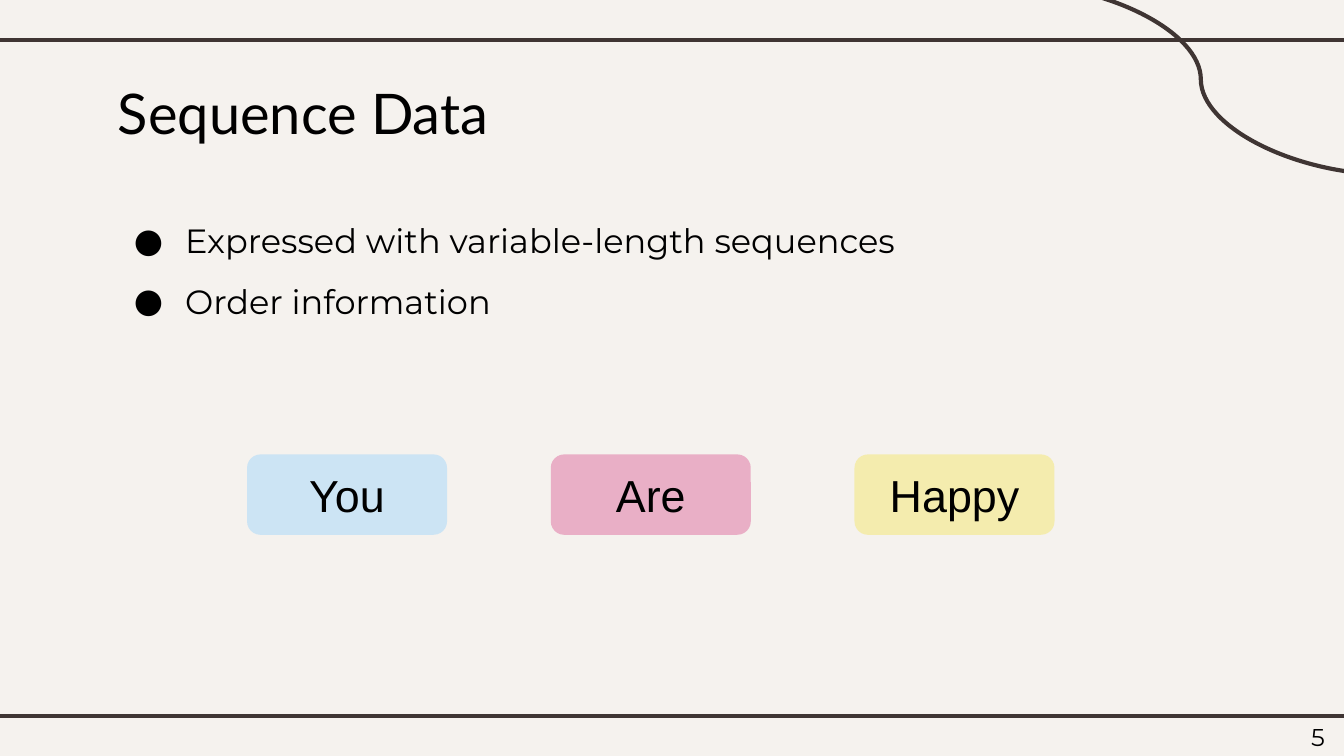
from lxml import etree
from pptx import Presentation
from pptx.dml.color import RGBColor
from pptx.enum.shapes import MSO_CONNECTOR, MSO_SHAPE
from pptx.enum.text import MSO_ANCHOR, MSO_AUTO_SIZE, PP_ALIGN
from pptx.oxml.ns import qn
from pptx.util import Cm, Pt

STRAIGHT, CURVE = MSO_CONNECTOR.STRAIGHT, MSO_CONNECTOR.CURVE
ROUNDED = MSO_SHAPE.ROUNDED_RECTANGLE
TOP, MIDDLE = MSO_ANCHOR.TOP, MSO_ANCHOR.MIDDLE
LEFT, CENTER, RIGHT = PP_ALIGN.LEFT, PP_ALIGN.CENTER, PP_ALIGN.RIGHT
NO_FIT = MSO_AUTO_SIZE.NONE
INK, BLACK, PAPER = "3F3533", "000000", "F5F2EE"


def color(value):
    return RGBColor.from_string(value)


def write(box, lines, font, size, align, anchor):
    frame = box.text_frame
    frame.text = "\n".join(lines)
    frame.word_wrap = True
    frame.auto_size = NO_FIT
    frame.vertical_anchor = anchor
    frame.margin_left = frame.margin_right = Cm(0.25)
    frame.margin_top = frame.margin_bottom = Cm(0.25)
    for para in frame.paragraphs:
        para.alignment = align
        for span in para.runs:
            span.font.name = font
            span.font.size = Pt(size)
            span.font.color.rgb = color(BLACK)


deck = Presentation()
deck.slide_width, deck.slide_height = Cm(25.4), Cm(14.29)
page = deck.slides.add_slide(deck.slide_layouts[5])
page.background.fill.solid()
page.background.fill.fore_color.rgb = color(PAPER)

for kind, x1, y1, x2, y2 in [
    (STRAIGHT, -0.2, 0.76, 25.6, 0.76),
    (STRAIGHT, -0.2, 13.54, 25.6, 13.54),
    (CURVE, 19.13, -0.3, 26.26, 3.3),
]:
    line = page.shapes.add_connector(kind, Cm(x1), Cm(y1), Cm(x2), Cm(y2))
    line.line.color.rgb = color(INK)
    line.line.width = Pt(2.25)
    etree.SubElement(line._element.spPr, qn("a:effectLst"))

title = page.shapes.title
title.left, title.top, title.width, title.height = Cm(1.98), Cm(1.24), Cm(16.31), Cm(1.6)
write(title, ["Sequence Data"], "Lato", 30, LEFT, TOP)

body = page.shapes.add_textbox(Cm(1.98), Cm(3.53), Cm(21.44), Cm(9.14))
points = ["Expressed with variable-length sequences", "Order information"]
write(body, points, "Montserrat", 18, LEFT, TOP)
for para in body.text_frame.paragraphs:
    props = para._p.get_or_add_pPr()
    props.set("marL", str(Cm(1.27)))
    props.set("indent", str(Cm(-0.97)))
    bullet_color = etree.SubElement(props, qn("a:buClr"))
    etree.SubElement(bullet_color, qn("a:srgbClr"), val=BLACK)
    etree.SubElement(props, qn("a:buFont"), typeface="Montserrat")
    etree.SubElement(props, qn("a:buChar"), char="●")
    para.line_spacing = 1.5

number = page.shapes.add_textbox(Cm(23.77), Cm(13.41), Cm(1.52), Cm(1.09))
write(number, ["5"], "Montserrat", 13, RIGHT, TOP)

words = [("You", "CCE4F4"), ("Are", "E9AFC6"), ("Happy", "F4ECAE")]
for index, (word, fill) in enumerate(words):
    tile = page.shapes.add_shape(ROUNDED, Cm(4.67 + 5.74 * index), Cm(8.59), Cm(3.78), Cm(1.52))
    tile.shadow.inherit = False
    tile.fill.solid()
    tile.fill.fore_color.rgb = color(fill)
    tile.line.fill.background()
    write(tile, [word], "Arial", 24, CENTER, MIDDLE)

deck.save("out.pptx")
